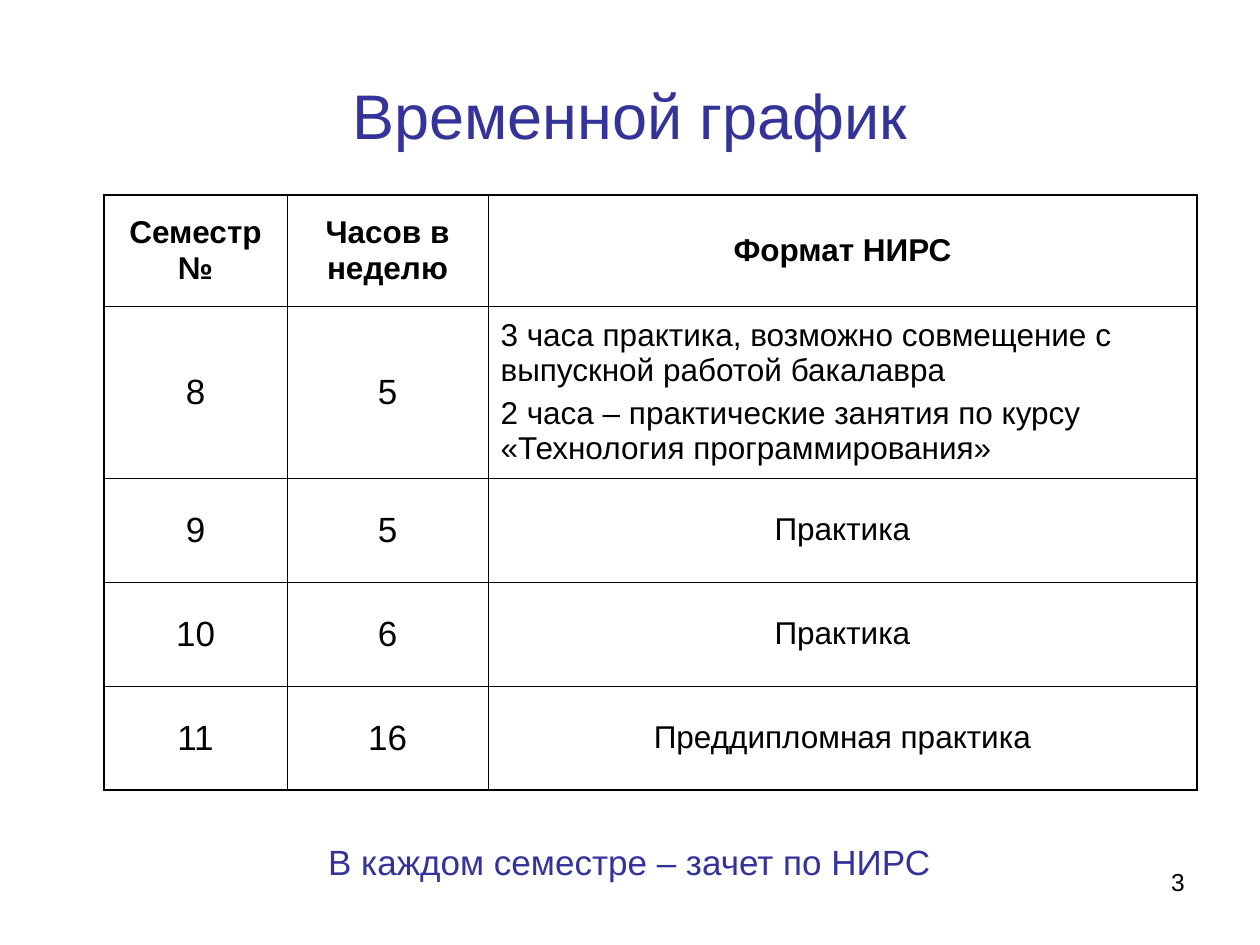
from dataclasses import dataclass

import pptx
import pptx.dml.color
import pptx.enum.text
import pptx.oxml.ns
import pptx.util
from lxml import etree

EMU_PER_PX = 914400 / 126
FONT = "Arial"
BLACK, INDIGO = "000000", "333399"
THIN, THICK = 0.45, 1.08
ALIGN = pptx.enum.text.PP_ALIGN
MIDDLE = pptx.enum.text.MSO_ANCHOR.MIDDLE


@dataclass(frozen=True)
class Box:
    left: int
    top: int
    width: int
    height: int


@dataclass(frozen=True)
class Style:
    size: int
    color: str = BLACK
    bold: bool = False
    align: ALIGN = ALIGN.CENTER
    space_before: float = 0


TITLE = Style(36, INDIGO)
HEADER = Style(18, bold=True, space_before=4.5)
NUMBER = Style(20, space_before=5)
FORMAT = Style(18, space_before=4.5)
DETAILS = Style(18, align=ALIGN.LEFT, space_before=4.5)
FOOTNOTE = Style(20, INDIGO, space_before=12.5)
PAGE_NUMBER = Style(14, align=ALIGN.RIGHT)

COLUMN_WIDTHS = (183, 201, 709)
ROW_HEIGHTS = (111, 172, 104, 104, 104)
SCHEDULE = (
    ("Семестр №", "Часов в неделю", "Формат НИРС"),
    ("8", "5", "3 часа практика, возможно совмещение с выпускной работой бакалавра\n"
               "2 часа – практические занятия по курсу «Технология программирования»"),
    ("9", "5", "Практика"),
    ("10", "6", "Практика"),
    ("11", "16", "Преддипломная практика"),
)


def px(length: int) -> pptx.util.Emu:
    return pptx.util.Emu(round(length * EMU_PER_PX))


def rgb(color: str) -> pptx.dml.color.RGBColor:
    return pptx.dml.color.RGBColor.from_string(color)


def place(box: Box) -> tuple:
    return px(box.left), px(box.top), px(box.width), px(box.height)


def write(text_frame, text: str, style: Style) -> None:
    text_frame.text = text
    text_frame.word_wrap = True
    for paragraph in text_frame.paragraphs:
        paragraph.alignment = style.align
        paragraph.space_before = pptx.util.Pt(style.space_before)
        for run in paragraph.runs:
            run.font.name = FONT
            run.font.size = pptx.util.Pt(style.size)
            run.font.bold = style.bold
            run.font.color.rgb = rgb(style.color)


def add_label(slide, box: Box, text: str, style: Style) -> None:
    write(slide.shapes.add_textbox(*place(box)).text_frame, text, style)


def set_borders(cell, widths: dict[str, float]) -> None:
    properties = cell._tc.get_or_add_tcPr()
    for position, (side, width) in enumerate(widths.items()):
        line = etree.Element(pptx.oxml.ns.qn(f"a:ln{side}"), w=str(pptx.util.Pt(width)))
        fill = etree.SubElement(line, pptx.oxml.ns.qn("a:solidFill"))
        etree.SubElement(fill, pptx.oxml.ns.qn("a:srgbClr"), val=BLACK)
        properties.insert(position, line)


def cell_style(row: int, column: int) -> Style:
    if row == 0:
        return HEADER
    if column < 2:
        return NUMBER
    return DETAILS if row == 1 else FORMAT


def add_schedule(slide, left: int, top: int) -> None:
    box = Box(left, top, sum(COLUMN_WIDTHS), sum(ROW_HEIGHTS))
    last_row, last_column = len(ROW_HEIGHTS) - 1, len(COLUMN_WIDTHS) - 1
    table = slide.shapes.add_table(last_row + 1, last_column + 1, *place(box)).table
    table.first_row = table.horz_banding = False
    for column, width in zip(table.columns, COLUMN_WIDTHS):
        column.width = px(width)
    for row, height in zip(table.rows, ROW_HEIGHTS):
        row.height = px(height)

    for r, texts in enumerate(SCHEDULE):
        for c, text in enumerate(texts):
            cell = table.cell(r, c)
            write(cell.text_frame, text, cell_style(r, c))
            cell.vertical_anchor = MIDDLE
            cell.fill.background()
            # The outer frame is thicker than the inner grid
            outer = {"L": c == 0, "R": c == last_column, "T": r == 0, "B": r == last_row}
            set_borders(cell, {side: THICK if edge else THIN for side, edge in outer.items()})


def main() -> None:
    presentation = pptx.Presentation()
    presentation.slide_width, presentation.slide_height = px(1260), px(945)
    slide = presentation.slides.add_slide(presentation.slide_layouts[5])

    # Title
    title = slide.shapes.title
    title.left, title.top, title.width, title.height = place(Box(63, 35, 1134, 158))
    write(title.text_frame, "Временной график", TITLE)
    title.text_frame.vertical_anchor = MIDDLE

    # Semester schedule
    add_schedule(slide, 104, 195)

    # Footnote and page number
    add_label(slide, Box(74, 834, 1111, 55), "В каждом семестре – зачет по НИРС", FOOTNOTE)
    add_label(slide, Box(903, 861, 294, 66), "3", PAGE_NUMBER)

    presentation.save("out.pptx")


if __name__ == "__main__":
    main()
